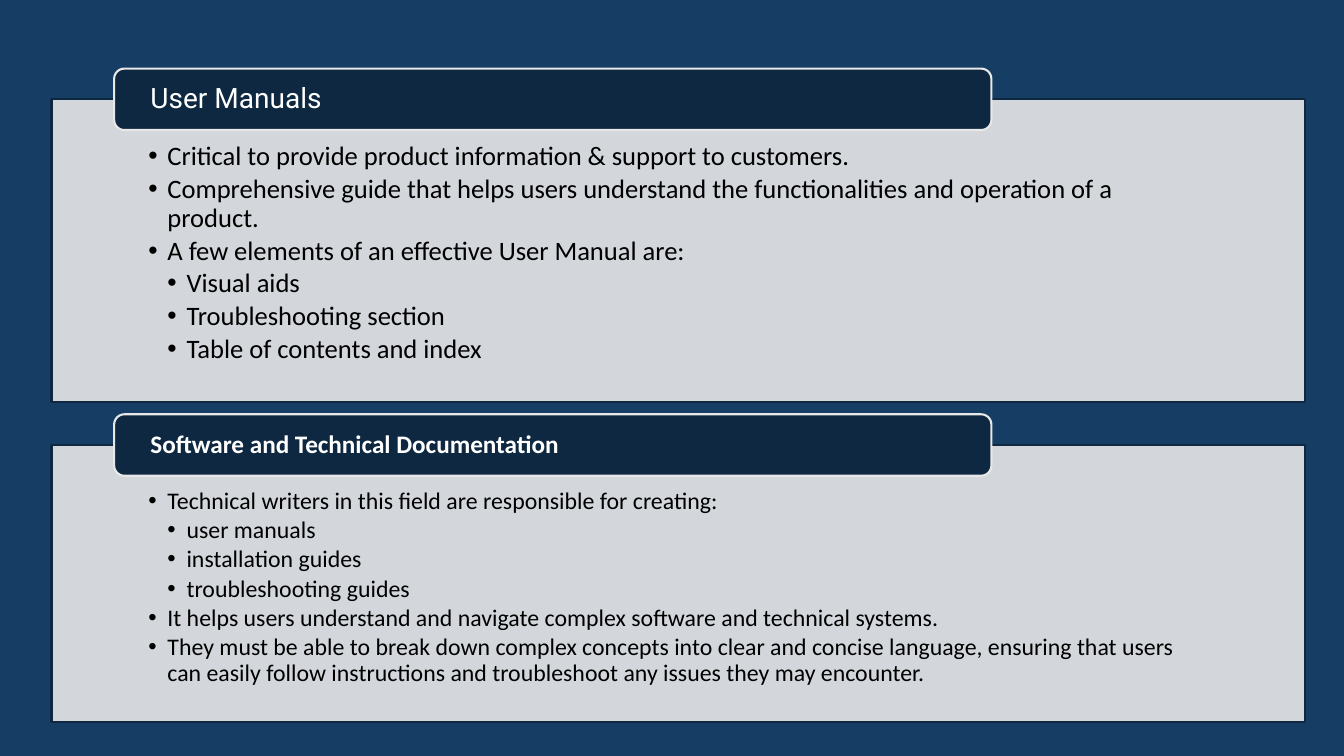
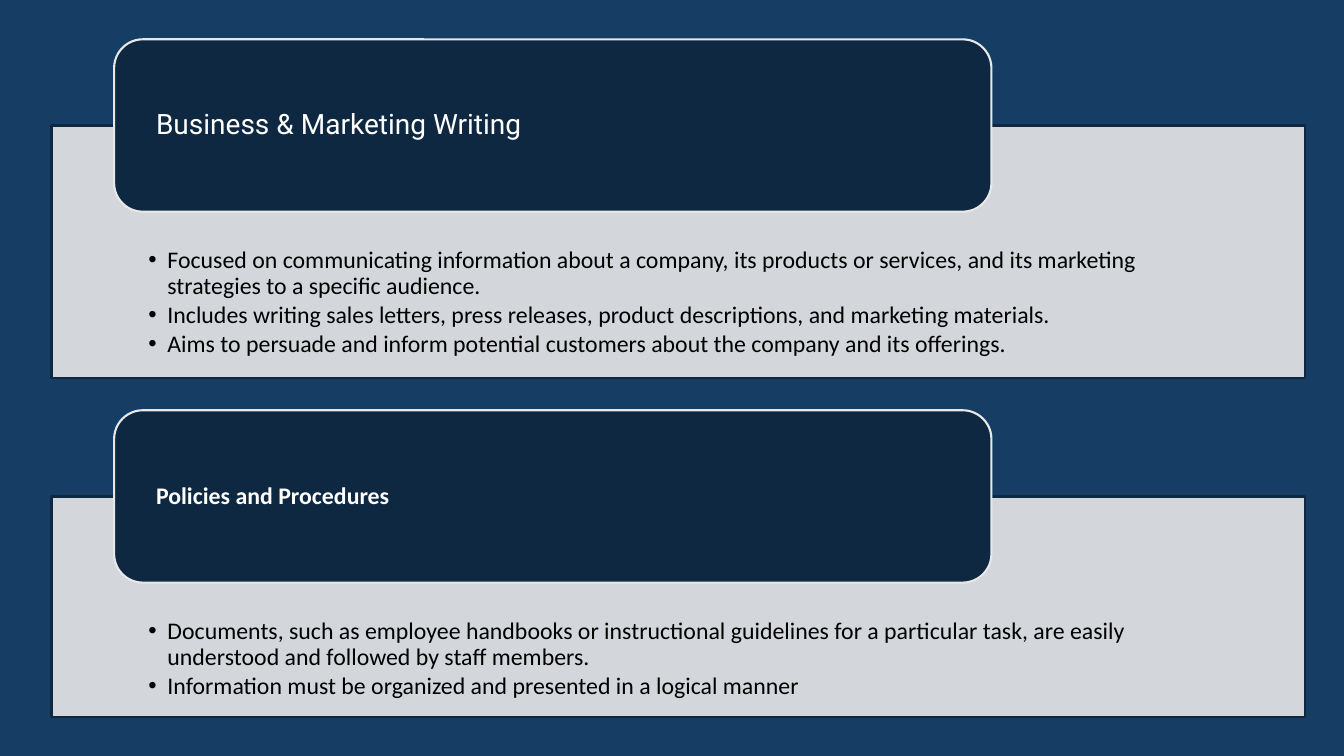
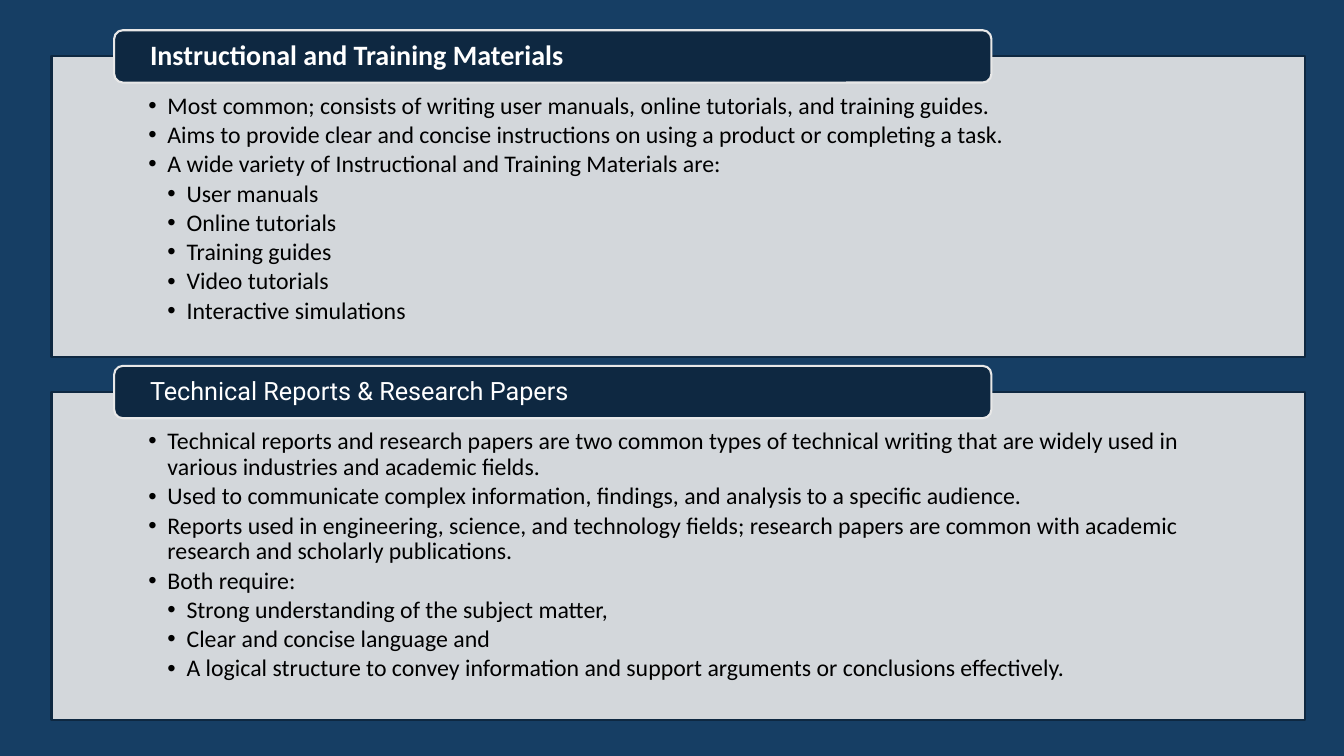
from lxml import etree
from pptx import Presentation
from pptx import util as u
from pptx.dml.color import RGBColor
from pptx.enum import shapes, text
from pptx.oxml import ns

WIDE, HIGH = u.Inches(13.33), u.Inches(7.5)
NAVY, BLUE, PALE = "0E2841", "163E64", "E8E8E8"
WHITE, BLACK = "FFFFFF", "000000"
LEFT, SPAN = 3.83, 93.25  # per cent of the slide width
STEP = u.Inches(0.19)


def tint(fmt, color, alpha=None):
    """Give a fill or line format a solid colour, alpha in per cent."""
    fill = getattr(fmt, "fill", fmt)
    fill.solid()
    fill.fore_color.rgb = RGBColor.from_string(color)
    if alpha:
        node = fill._xPr.find(".//" + ns.qn("a:srgbClr"))
        etree.SubElement(node, ns.qn("a:alpha"), val=str(alpha * 1000))


def edge(shape, color):
    tint(shape.line, color)
    shape.line.width = u.Pt(1.5)


def place(shape, box):
    shape.left, shape.top, shape.width, shape.height = map(int, box)


def frame(shape, sides, anchor):
    """Set insets (left, top, right, bottom), anchor and wrapping."""
    tf = shape.text_frame
    tf.margin_left, tf.margin_top, tf.margin_right, tf.margin_bottom = map(int, sides)
    tf.vertical_anchor = anchor
    tf.word_wrap = True
    tf.auto_size = text.MSO_AUTO_SIZE.NONE
    return tf


def write(para, words, size, font="Calibri", color=BLACK, bold=False, after=0.15, level=None):
    """Fill a paragraph; a level, counted from 0, makes it a bullet."""
    para.alignment = text.PP_ALIGN.LEFT
    para.line_spacing = 0.9
    para.space_before = u.Pt(0)
    para.space_after = u.Pt(round(size * after, 2))
    if level is not None:
        para.level = level
        props = para._p.get_or_add_pPr()
        props.set("marL", str(STEP * (level + 1)))
        props.set("indent", str(-STEP))
        etree.SubElement(props, ns.qn("a:buFont"), typeface="Arial")
        etree.SubElement(props, ns.qn("a:buChar"), char="•")
    run = para.add_run()
    run.text = words
    face = run.font
    face.name, face.size, face.bold = font, u.Pt(size), bold
    face.color.rgb = RGBColor.from_string(color)


def flat(items, level=0):
    """Yield (level, words); a nested list is one level deeper."""
    for item in items:
        if isinstance(item, list):
            yield from flat(item, level + 1)
        else:
            yield level, item


def panel(body, box, inset, items, size):
    place(body, box)
    tint(body.fill, PALE, 90)
    edge(body, NAVY)
    side = u.Inches(0.96)
    tf = frame(body, (side, inset, side, u.Inches(0.13)), text.MSO_ANCHOR.TOP)
    for i, (level, words) in enumerate(flat(items)):
        para = tf.add_paragraph() if i else tf.paragraphs[0]
        write(para, words, size, level=level)


def label(slide, head, box, title, style):
    """Lay a heading over a rounded tab."""
    tab = slide.shapes.add_shape(shapes.MSO_SHAPE.ROUNDED_RECTANGLE, *map(int, box))
    tab.shadow.inherit = False
    tint(tab.fill, NAVY)
    edge(tab, PALE)
    head._element.addprevious(tab._element)
    place(head, box)
    side = u.Inches(0.33) + box[3] * 0.05
    tf = frame(head, (side, 0, side, 0), text.MSO_ANCHOR.MIDDLE)
    write(tf.paragraphs[0], title, color=WHITE, after=0.35, **style)


def section(slide, head, body, rows, tall, part):
    """Place a panel whose top edge runs through the middle of its tab."""
    left, span = WIDE * LEFT / 100, WIDE * SPAN / 100
    top, deep, tall = (HIGH * n / 100 for n in (*rows, tall))
    title, style, size, items = part
    panel(body, (left, top + tall / 2, span, deep - tall / 2), tall * 0.71, items, size)
    # headings stay above the panels
    slide.shapes._spTree.append(head._element)
    label(slide, head, (left + span * 0.05, top, span * 0.7, tall), title, style)


def page(deck, tall, parts):
    slide = deck.slides.add_slide(deck.slide_layouts.get_by_name("Comparison"))
    tint(slide.background.fill, BLUE)
    holder = {p.placeholder_format.idx: p for p in slide.placeholders}
    spare = holder[1]._element
    spare.getparent().remove(spare)
    for (head, body), (rows, *part) in zip(((0, 2), (3, 4)), parts):
        section(slide, holder[head], holder[body], rows, tall, part)


def plain(size):
    return dict(size=size, font="Roboto")


def strong(size):
    return dict(size=size, bold=True)


# Page: tab height, then sections of (top, height), heading, style, list size, list
PAGES = [
    (8.13, [
        ((9.07, 44.13), "User Manuals", plain(20), 19, [
            "Critical to provide product information & support to customers.",
            "Comprehensive guide that helps users understand the functionalities and operation of a product.",
            "A few elements of an effective User Manual are:",
            ["Visual aids", "Troubleshooting section", "Table of contents and index"],
        ]),
        ((54.8, 40.67), "Software and Technical Documentation", strong(18), 17, [
            "Technical writers in this field are responsible for creating:",
            ["user manuals", "installation guides", "troubleshooting guides"],
            "It helps users understand and navigate complex software and technical systems.",
            "They must be able to break down complex concepts into clear and concise language, "
            "ensuring that users can easily follow instructions and troubleshoot any issues they may encounter.",
        ]),
    ]),
    (22.8, [
        ((5.2, 44.8), "Business & Marketing Writing", plain(20), 17, [
            "Focused on communicating information about a company, its products or services, "
            "and its marketing strategies to a specific audience.",
            "Includes writing sales letters, press releases, product descriptions, and marketing materials.",
            "Aims to persuade and inform potential customers about the company and its offerings.",
        ]),
        ((54.27, 40.53), "Policies and Procedures", strong(17), 17, [
            "Documents, such as employee handbooks or instructional guidelines for a particular task, "
            "are easily understood and followed by staff members.",
            "Information must be organized and presented in a logical manner",
        ]),
    ]),
    (6.93, [
        ((4, 43.2), "Instructional and Training Materials", strong(20), 17, [
            "Most common; consists of writing user manuals, online tutorials, and training guides.",
            "Aims to provide clear and concise instructions on using a product or completing a task.",
            "A wide variety of Instructional and Training Materials are:",
            ["User manuals", "Online tutorials", "Training guides", "Video tutorials",
             "Interactive simulations"],
        ]),
        ((48.4, 46.8), "Technical Reports & Research Papers", plain(18), 17, [
            "Technical reports and research papers are two common types of technical writing "
            "that are widely used in various industries and academic fields.",
            "Used to communicate complex information, findings, and analysis to a specific audience.",
            "Reports used in engineering, science, and technology fields; research papers are common "
            "with academic research and scholarly publications.",
            "Both require:",
            ["Strong understanding of the subject matter,", "Clear and concise language and",
             "A logical structure to convey information and support arguments or conclusions effectively."],
        ]),
    ]),
]


def main():
    deck = Presentation()
    deck.slide_width, deck.slide_height = WIDE, HIGH
    for tall, parts in PAGES:
        page(deck, tall, parts)
    deck.save("out.pptx")


if __name__ == "__main__":
    main()
